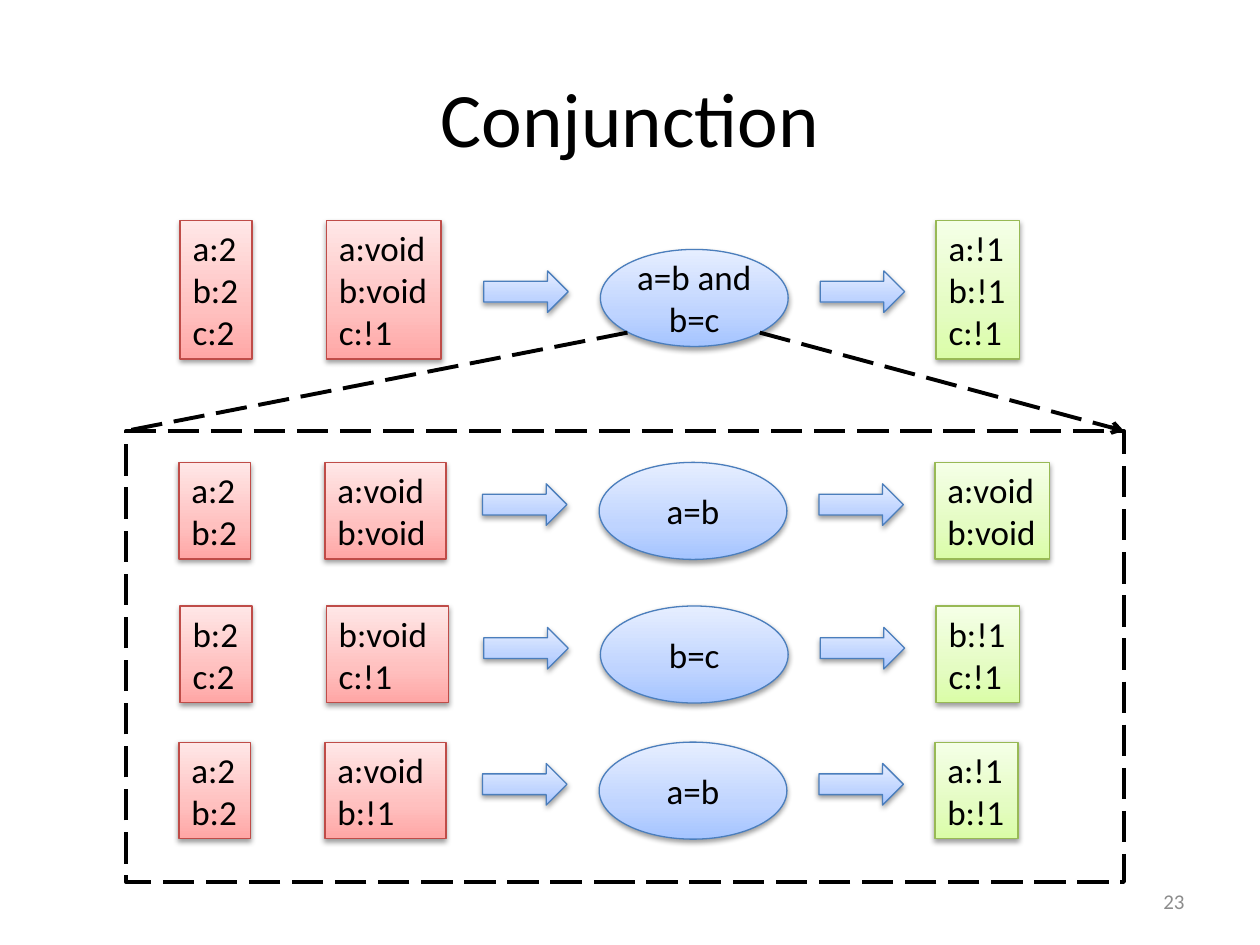
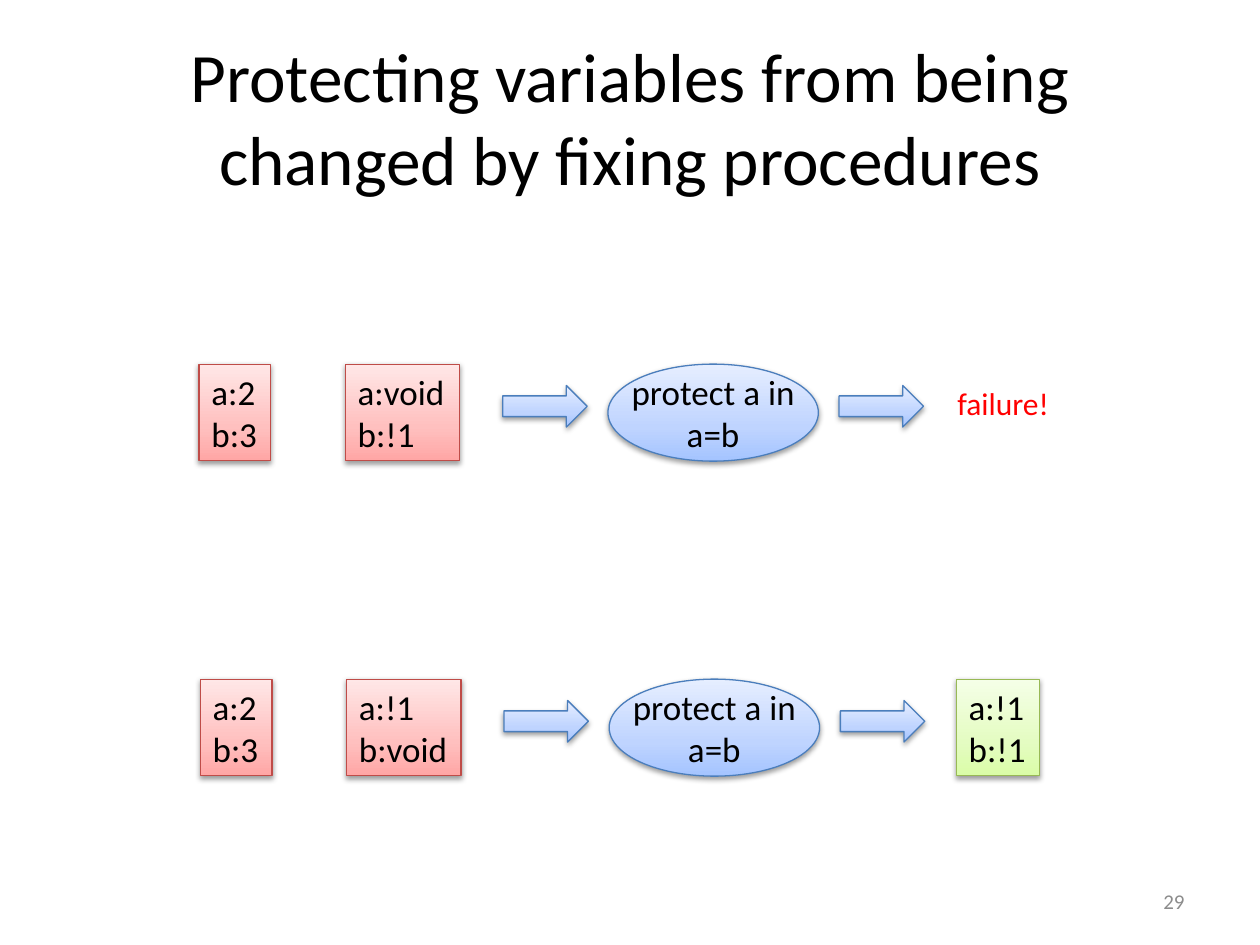
from dataclasses import dataclass

from lxml import etree
from pptx import Presentation
from pptx.dml.color import RGBColor
from pptx.enum.dml import MSO_LINE
from pptx.enum.shapes import MSO_CONNECTOR, MSO_SHAPE
from pptx.enum.text import MSO_ANCHOR, MSO_AUTO_SIZE, PP_ALIGN
from pptx.oxml.ns import qn
from pptx.util import Inches, Pt

RECTANGLE, OVAL, ARROW = MSO_SHAPE.RECTANGLE, MSO_SHAPE.OVAL, MSO_SHAPE.RIGHT_ARROW
STRAIGHT, LONG_DASH = MSO_CONNECTOR.STRAIGHT, MSO_LINE.LONG_DASH
LEFT, CENTER, RIGHT = PP_ALIGN.LEFT, PP_ALIGN.CENTER, PP_ALIGN.RIGHT
TOP, MIDDLE = MSO_ANCHOR.TOP, MSO_ANCHOR.MIDDLE
NO_AUTOFIT = MSO_AUTO_SIZE.NONE


@dataclass(frozen=True)
class Palette:
    """Outline and the gradient colours from bottom to top."""
    line: str
    stops: tuple


@dataclass(frozen=True)
class Theme:
    """Colours, font and type sizes shared by the slides."""
    font: str = "Calibri"
    text: str = "000000"
    failure: str = "FF0000"
    number: str = "8C8C8C"
    body_size: float = 20
    failure_size: float = 18
    number_size: float = 12
    state: Palette = Palette("BF4C48", ("FFA6A5", "FFC0BF", "FFE7E7"))
    process: Palette = Palette("4B7EBC", ("A4C4FF", "BFD4FF", "E6EEFF"))
    result: Palette = Palette("98B955", ("DAFDA7", "E4FCC2", "F5FFE7"))


THEME = Theme()


def add_element(parent, tag, **attributes):
    """Append a drawing element with the given attributes."""
    element = etree.SubElement(parent, qn(tag))
    for name, value in attributes.items():
        element.set(name, str(value))
    return element


def write_text(shape, text, size, color=THEME.text, align=LEFT, anchor=TOP, wrap=True):
    """Write lines of text as runs of one paragraph."""
    frame = shape.text_frame
    frame.auto_size = NO_AUTOFIT
    frame.word_wrap = wrap
    frame.vertical_anchor = anchor
    paragraph = frame.paragraphs[0]
    paragraph.alignment = align
    for index, line in enumerate(text.split("\n")):
        if index:
            paragraph.add_line_break()
        run = paragraph.add_run()
        run.text = line
        run.font.name = THEME.font
        run.font.size = Pt(size)
        run.font.color.rgb = RGBColor.from_string(color)


def add_glossy_shape(shapes, kind, box, palette):
    """Add a preset shape with a vertical gradient and a soft shadow."""
    shape = shapes.add_shape(kind, *map(Inches, box))
    properties = shape.element.spPr
    gradient = add_element(properties, "a:gradFill", rotWithShape=1)
    stops = add_element(gradient, "a:gsLst")
    for position, color in zip((0, 35000, 100000), palette.stops):
        add_element(add_element(stops, "a:gs", pos=position), "a:srgbClr", val=color)
    add_element(gradient, "a:lin", ang=16200000, scaled=1)
    shape.line.color.rgb = RGBColor.from_string(palette.line)
    shape.line.width = Pt(0.75)
    shape.shadow.inherit = False
    shadow = add_element(properties.find(qn("a:effectLst")), "a:outerShdw", blurRad=Pt(3.1),
                         dist=Pt(1.6), dir=5400000, rotWithShape=0)
    add_element(add_element(shadow, "a:srgbClr", val="000000"), "a:alpha", val=38000)
    return shape


def add_state(shapes, left, top, width, text, palette):
    """Add a box listing variables, as tall as its lines need."""
    height = (text.count("\n") + 1) / 3 + 0.1
    shape = add_glossy_shape(shapes, RECTANGLE, (left, top, width, height), palette)
    shape.text_frame.margin_right = 0
    write_text(shape, text, THEME.body_size)


def add_text_box(shapes, box, text, size, color, align=LEFT, anchor=TOP):
    """Add plain text in a box."""
    shape = shapes.add_textbox(*map(Inches, box))
    write_text(shape, text, size, color, align, anchor)


def add_inference_row(slide, left, top, values, domains, constraint, result,
                      domain_width=0.91, result_width=0.66, oval_width=1.49, drop=0):
    """Add a row: values, domains, constraint and result, joined by block arrows."""
    shapes = slide.shapes.add_group_shape().shapes
    add_state(shapes, left, top, 0.57, values, THEME.state)
    add_state(shapes, left + 1.16, top, domain_width, domains, THEME.state)
    middle = top + drop
    oval_box = (left + 4.08 - oval_width / 2, middle, oval_width, 0.77)
    oval = add_glossy_shape(shapes, OVAL, oval_box, THEME.process)
    write_text(oval, constraint, THEME.body_size, align=CENTER, anchor=MIDDLE, wrap=False)
    for offset in (2.41, 5.08):
        add_glossy_shape(shapes, ARROW, (left + offset, middle + 0.17, 0.67, 0.33), THEME.process)
    if result:
        add_state(shapes, left + 6, top, result_width, result, THEME.result)
    else:
        add_text_box(shapes, (left + 5.92, top + 0.11, 0.94, 0.4), "failure!",
                     THEME.failure_size, THEME.failure)


def style_dashes(line):
    """Give a line the heavy dashed style."""
    line.color.rgb = RGBColor.from_string(THEME.text)
    line.width = Pt(2.25)
    line.dash_style = LONG_DASH


def add_expansion_frame(slide, left, top, width, height):
    """Add the dashed frame and the lines that open it from the constraint above."""
    shapes = slide.shapes.add_group_shape().shapes
    frame = shapes.add_shape(RECTANGLE, *map(Inches, (left, top, width, height)))
    frame.fill.background()
    frame.shadow.inherit = False
    style_dashes(frame.line)
    for start, end in ((left + 3.98, left), (left + 5.03, left + width)):
        connector = shapes.add_connector(STRAIGHT, *map(Inches, (start, top - 0.78, end, top)))
        style_dashes(connector.line)
        add_element(connector.element.spPr, "a:effectLst")
    add_element(connector.line._get_or_add_ln(), "a:tailEnd", type="arrow")


def add_titled_slide(presentation, title, size, number):
    """Add a slide with its centred title and page number."""
    slide = presentation.slides.add_slide(presentation.slide_layouts[5])
    placeholder = slide.shapes.title
    placeholder.left, placeholder.top = Inches(0.5), Inches(0.3)
    placeholder.width, placeholder.height = Inches(9), Inches(1.25)
    write_text(placeholder, title, size, align=CENTER, anchor=MIDDLE)
    add_text_box(slide.shapes, (7.17, 6.95, 2.33, 0.4), number,
                 THEME.number_size, THEME.number, RIGHT, MIDDLE)
    return slide


def build_conjunction(presentation):
    """Build the slide that splits a conjunction into single steps."""
    slide = add_titled_slide(presentation, "Conjunction", 44, "23")
    add_inference_row(slide, 1.43, 1.75, "a:2\nb:2\nc:2", "a:void\nb:void\nc:!1",
                      "a=b and\nb=c", "a:!1\nb:!1\nc:!1", drop=0.23)
    steps = (
        (1.42, 3.67, "a:2\nb:2", "a:void\nb:void", "a=b", "a:void\nb:void", 0.96, 0.91),
        (1.43, 4.81, "b:2\nc:2", "b:void\nc:!1", "b=c", "b:!1\nc:!1", 0.97),
        (1.42, 5.89, "a:2\nb:2", "a:void\nb:!1", "a=b", "a:!1\nb:!1", 0.96),
    )
    for step in steps:
        add_inference_row(slide, *step)
    add_expansion_frame(slide, 1, 3.42, 7.92, 3.58)


def build_protection(presentation):
    """Build the slide on protected variables."""
    title = "Protecting variables from being changed by fixing procedures"
    slide = add_titled_slide(presentation, title, 39.6, "29")
    cases = ((1.58, 2.89, "a:void\nb:!1", None), (1.59, 5.39, "a:!1\nb:void", "a:!1\nb:!1"))
    for left, top, domains, result in cases:
        add_inference_row(slide, left, top, "a:2\nb:3", domains, "protect a in\na=b", result,
                          oval_width=1.67)


def main():
    """Build and save the presentation."""
    presentation = Presentation()
    presentation.slide_width, presentation.slide_height = Inches(10), Inches(7.5)
    build_conjunction(presentation)
    build_protection(presentation)
    presentation.save("out.pptx")


if __name__ == "__main__":
    main()
